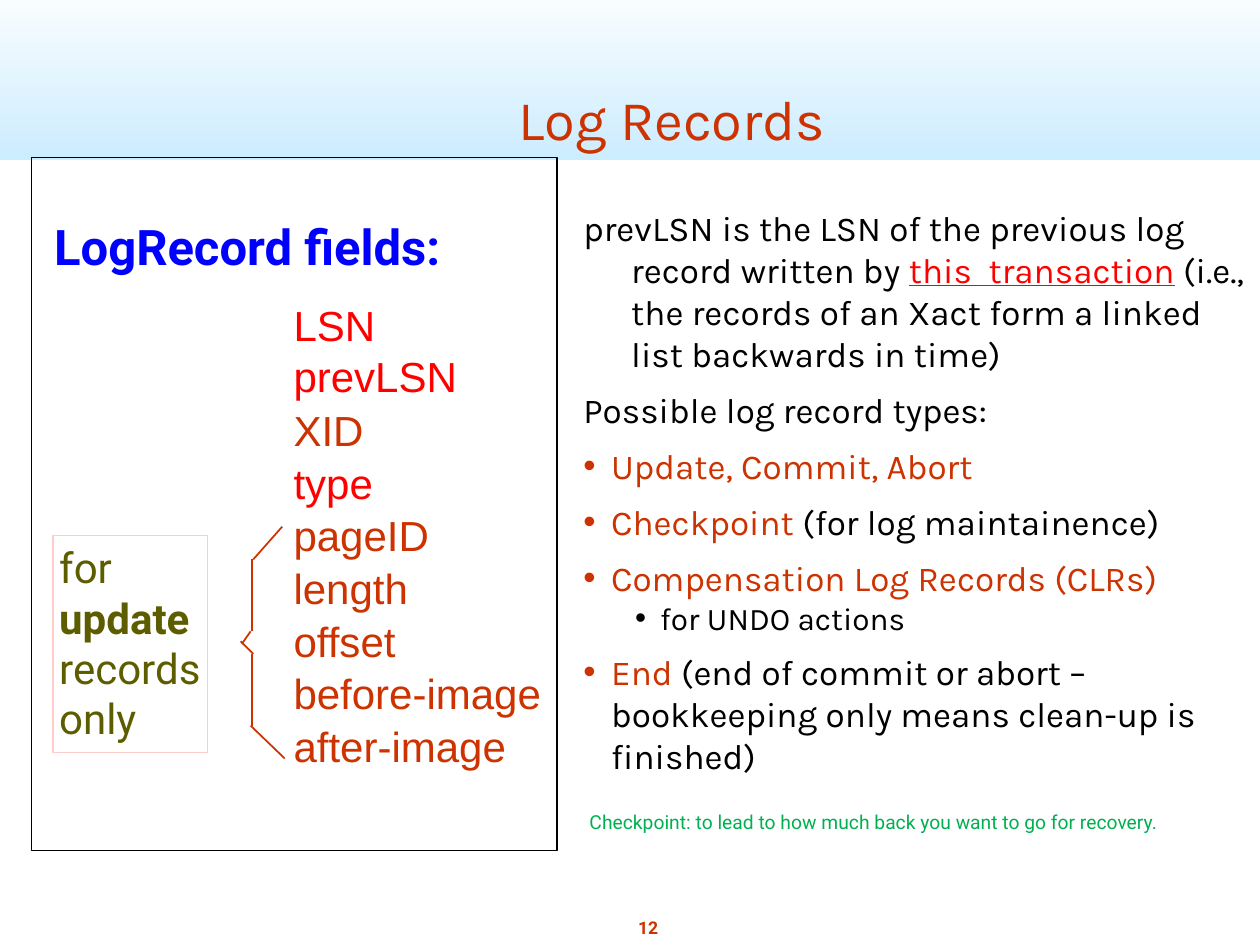
from lxml import etree
from pptx import Presentation
from pptx import util as u
from pptx.dml.color import RGBColor
from pptx.enum import shapes, text
from pptx.oxml.ns import qn

COLORS = {
    "sky": "CCECFF", "white": "FFFFFF", "rust": "CC3300", "black": "000000",
    "red": "FF0000", "blue": "0000FF", "olive": "5D5D00", "pink": "FFCCCC",
    "green": "00B050",
}
FIELDS = [("XID", 0.67, "rust"), ("type", 0.74, "red"), ("pageID", 1.19, "rust"),
          ("length", 1.02, "rust"), ("offset", 0.92, "rust"),
          ("before-image", 2.08, "rust"), ("after-image", 1.8, "rust")]
BRACE = [((2, 4.44), (2, 5.01)), ((2, 5.19), (2, 5.76)),
         ((2.01, 5.19), (1.91, 5.09)), ((1.92, 5.11), (1.99, 5.01)),
         ((2.01, 4.44), (2.24, 4.18)), ((2.26, 6.02), (1.99, 5.76))]
HANGING = dict(indent=0.38, before=8)
BULLET = dict(indent=0.22, before=8, bullet=True)
BODY = [
    ([("prevLSN is the LSN of the previous log record written by ", "black"),
      ("this  transaction", "red", dict(underline=True)),
      (" (i.e., the records of an Xact form a linked list backwards in time)", "black")],
     HANGING),
    ([("Possible log record types:", "black")], HANGING),
    ([("Update, Commit, Abort", "rust")], BULLET),
    ([("Checkpoint ", "rust"), ("(for log maintainence)", "black")], BULLET),
    ([("Compensation Log Records (CLRs)", "rust")], BULLET),
    ([("for UNDO actions", "black", dict(size=18))],
     dict(level=1, indent=0.61, hang=0.2, bullet=True)),
    ([("End ", "rust"),
      ("(end of commit or abort – bookkeeping only means clean-up is finished)", "black")],
     BULLET),
]


def color(name):
    return RGBColor.from_string(COLORS[name])


def add_run(paragraph, words, font="Karla", size=20, ink="black", bold=False, underline=False):
    run = paragraph.add_run()
    run.text = words
    run.font.name = font
    run.font.size = u.Pt(size)
    run.font.color.rgb = color(ink)
    run.font.bold = bold
    run.font.underline = underline


def format_paragraph(paragraph, indent=0, hang=None, before=0, bullet=False, level=0):
    paragraph.level = level
    paragraph.space_before = u.Pt(before)
    properties = paragraph._p.get_or_add_pPr()
    properties.set("marL", str(u.Inches(indent)))
    properties.set("indent", str(-u.Inches(indent if hang is None else hang)))
    if bullet:
        etree.SubElement(properties, qn("a:buFont")).set("typeface", "Arial")
        etree.SubElement(properties, qn("a:buChar")).set("char", "•")
    else:
        etree.SubElement(properties, qn("a:buNone"))


def set_frame(shape, wrap=False, inset=(0.05, 0.05), anchor=text.MSO_ANCHOR.TOP, grow=True):
    frame = shape.text_frame
    frame.word_wrap = wrap
    frame.auto_size = (text.MSO_AUTO_SIZE.SHAPE_TO_FIT_TEXT if grow
                       else text.MSO_AUTO_SIZE.NONE)
    frame.vertical_anchor = anchor
    frame.margin_left = frame.margin_right = u.Inches(inset[0])
    frame.margin_top = frame.margin_bottom = u.Inches(inset[1])
    return frame


def add_box(slide, place):
    return slide.shapes.add_textbox(*map(u.Inches, place))


def write_lines(frame, lines, bold_line=None, align=text.PP_ALIGN.LEFT, before=0, **style):
    for index, line in enumerate(lines.split("\n")):
        paragraph = frame.add_paragraph() if index else frame.paragraphs[0]
        paragraph.alignment = align
        paragraph.space_before = u.Pt(before)
        font = dict(style, bold=True) if line == bold_line else style
        add_run(paragraph, line, **font)


def add_label(slide, words, place, wrap=False, inset=(0.05, 0.05),
              anchor=text.MSO_ANCHOR.TOP, grow=True, **style):
    write_lines(set_frame(add_box(slide, place), wrap, inset, anchor, grow), words, **style)


def add_rectangle(slide, place, line=None, width=1):
    shape = slide.shapes.add_shape(shapes.MSO_SHAPE.RECTANGLE, *map(u.Inches, place))
    shape.shadow.inherit = False
    shape.fill.background()
    if line:
        shape.line.color.rgb = color(line)
        shape.line.width = u.Pt(width)
    else:
        shape.line.fill.background()
    return shape


def add_banner(slide):
    fill = add_rectangle(slide, (0, -0.17, 10, 1.44)).fill
    fill.gradient()
    fill.gradient_angle = 90
    for stop, name, position in zip(fill.gradient_stops, ("sky", "white"), (0, 1)):
        stop.color.rgb = color(name)
        stop.position = position


def add_line(slide, start, end):
    connector = slide.shapes.add_connector(
        shapes.MSO_CONNECTOR.STRAIGHT, *map(u.Inches, start + end))
    connector.line.color.rgb = color("rust")
    connector.line.width = u.Pt(1)
    etree.SubElement(connector._element.spPr, qn("a:effectLst"))


def add_body(slide):
    frame = set_frame(add_box(slide, (4.58, 1.59, 5.42, 4.79)), wrap=True, grow=False)
    for index, (runs, layout) in enumerate(BODY):
        paragraph = frame.add_paragraph() if index else frame.paragraphs[0]
        format_paragraph(paragraph, **layout)
        for words, ink, *extra in runs:
            add_run(paragraph, words, ink=ink, **(extra[0] if extra else {}))


def add_fields(slide):
    add_label(slide, "LSN\nprevLSN", (2.28, 2.33, 1.41, 0.86),
              font="Arial", size=24, ink="red")
    step = (5.67 - 3.16) / (len(FIELDS) - 1)
    for index, (name, width, ink) in enumerate(FIELDS):
        add_label(slide, name, (2.28, 3.16 + index * step, width, 0.48),
                  font="Arial", size=24, ink=ink)
    add_label(slide, "LogRecord fields:", (0.38, 1.67, 3.42, 0.57),
              font="Roboto", size=28, ink="blue", bold=True)


def main():
    presentation = Presentation()
    presentation.slide_width, presentation.slide_height = u.Inches(10), u.Inches(7.5)
    slide = presentation.slides.add_slide(presentation.slide_layouts[6])
    add_banner(slide)
    add_label(slide, "12", (5.01, 7.23, 0.27, 0.27), align=text.PP_ALIGN.CENTER,
              before=6, font="Roboto", size=10, ink="rust", bold=True)
    add_label(slide, "Log Records", (1.17, 0, 8.33, 1.25), wrap=True, grow=False,
              anchor=text.MSO_ANCHOR.BOTTOM, align=text.PP_ALIGN.CENTER,
              size=32, ink="rust")
    add_body(slide)
    add_fields(slide)
    for start, end in BRACE:
        add_line(slide, start, end)
    note = add_rectangle(slide, (0.42, 4.25, 1.23, 1.72), "pink", 0.75)
    write_lines(set_frame(note), "for\nupdate\nrecords\nonly", bold_line="update",
                font="Roboto", size=24, ink="olive")
    add_rectangle(slide, (0.25, 1.25, 4.17, 5.5), "black")
    add_label(slide, "Checkpoint: to lead to how much back you want to go for recovery.",
              (4.58, 6.38, 4.75, 0.29), wrap=True, inset=(0.1, 0.05),
              font="Roboto", size=11, ink="green")
    presentation.save("out.pptx")


if __name__ == "__main__":
    main()
